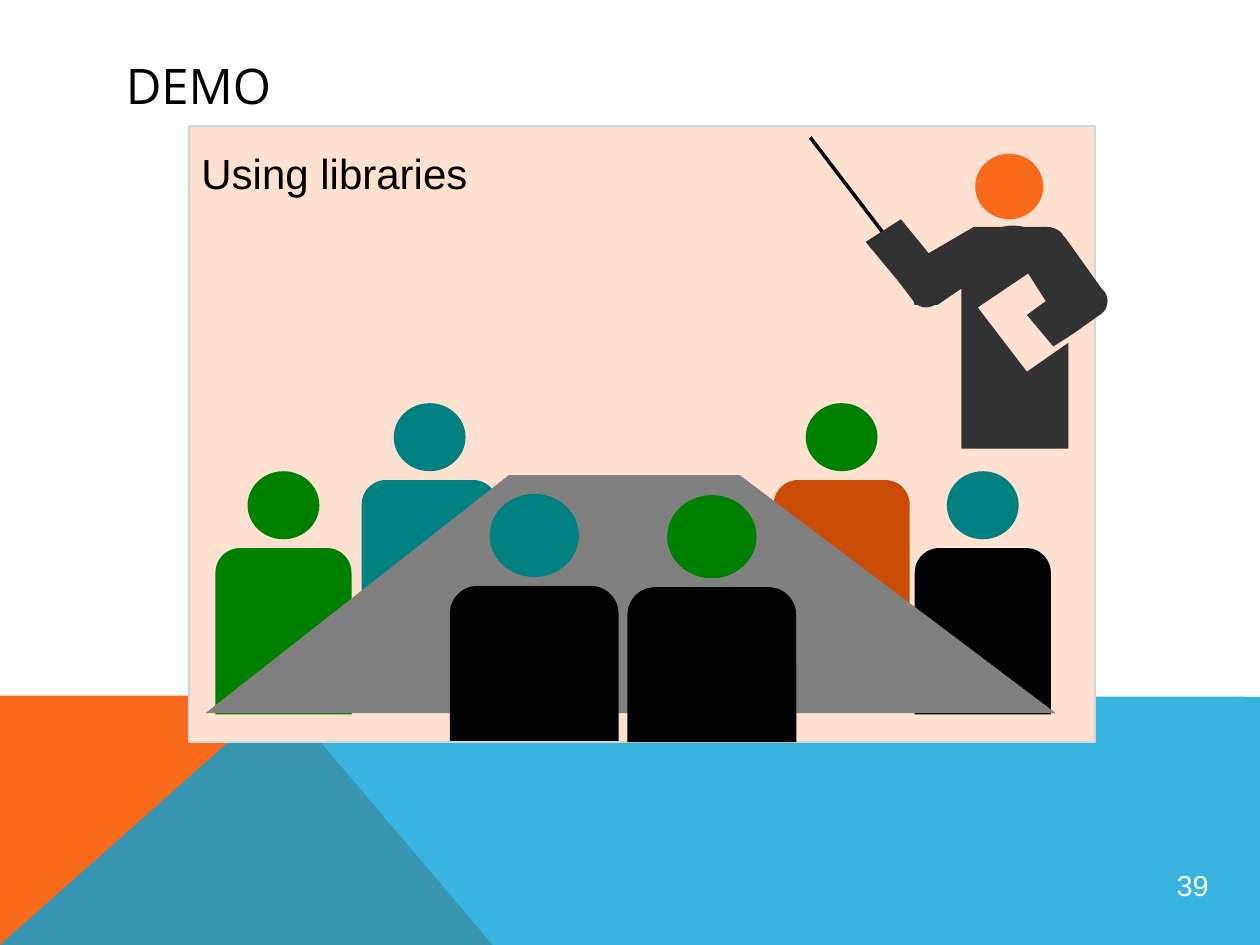
from lxml import etree
from pptx import Presentation
from pptx.dml.color import RGBColor
from pptx.enum.shapes import MSO_CONNECTOR, MSO_SHAPE as Preset
from pptx.enum.text import MSO_ANCHOR as Anchor, PP_ALIGN as Align
from pptx.oxml.ns import qn
from pptx.util import Inches, Pt

BLACK = RGBColor(0x00, 0x00, 0x00)
WHITE = RGBColor(0xFF, 0xFF, 0xFF)
ORANGE = RGBColor(0xF9, 0x6A, 0x1B)
BLUE = RGBColor(0x08, 0xA1, 0xD9)
PEACH = RGBColor(0xFE, 0xE1, 0xD1)
PALE = RGBColor(0xCD, 0xD7, 0xD9)
CHARCOAL = RGBColor(0x32, 0x32, 0x32)
RUST = RGBColor(0xCA, 0x4B, 0x05)
TEAL = RGBColor(0x00, 0x80, 0x80)
GREEN = RGBColor(0x00, 0x80, 0x00)
GRAY = RGBColor(0x80, 0x80, 0x80)

# Content: outlines in inches
ORANGE_BAND = [(0, 7.5), (0, 5.52), (2.23, 5.52), (3.91, 7.5)]
BLUE_BAND = [(0, 7.5), (2.23, 5.52), (10, 5.53), (10, 7.5)]
TABLE_TOP = [(1.63, 5.66), (4.04, 3.77), (5.87, 3.77), (8.38, 5.66)]
PRESENTER = [
    (8.19, 1.8), (8.3, 1.8), (8.45, 1.88), (8.75, 2.3), (8.74, 2.49),
    (8.53, 2.64), (8.36, 2.75), (8.15, 2.5), (8.23, 2.44), (8.3, 2.39),
    (8.16, 2.17), (7.76, 2.44), (8.15, 2.95), (8.48, 2.72), (8.48, 3.56),
    (7.63, 3.56), (7.63, 2.29), (7.44, 2.42), (7.26, 2.42), (7.25, 2.39),
    (7.12, 2.22), (6.87, 1.92), (7.15, 1.74), (7.33, 1.96), (7.37, 2.01),
    (7.73, 1.8),
]
# Round parts of the presenter: left, top, width, height, colour
PRESENTER_ROUNDS = [
    (7.74, 1.22, 0.54, 0.52, ORANGE),
    (7.24, 2.26, 0.22, 0.18, CHARCOAL),
    (8.57, 2.27, 0.22, 0.24, CHARCOAL),
    (7.89, 1.79, 0.3, 0.12, CHARCOAL),
    (8.15, 1.8, 0.3, 0.22, CHARCOAL),
]
# Seated people: body left, body top, head colour, body colour
BACK_PEOPLE = [
    (7.26, 4.35, TEAL, BLACK),
    (6.14, 3.81, GREEN, RUST),
    (2.87, 3.81, TEAL, TEAL),
    (1.71, 4.35, GREEN, GREEN),
]
FRONT_PEOPLE = [
    (4.98, 4.66, GREEN, BLACK),
    (3.57, 4.65, TEAL, BLACK),
]
# Sizes: body width, body height, head width, head height, neck gap
BACK_SIZE = (1.08, 1.32, 0.57, 0.54, 0.07)
FRONT_SIZE = (1.34, 1.23, 0.71, 0.66, 0.07)
SHOULDER = 0.18

deck = Presentation()
deck.slide_width, deck.slide_height = Inches(10), Inches(7.5)
page = deck.slides.add_slide(deck.slide_layouts[6])


def paint(shape, color):
    shape.shadow.inherit = False
    shape.fill.solid()
    shape.fill.fore_color.rgb = color
    shape.line.fill.background()
    return shape


def add_preset(preset, left, top, width, height, color):
    sides = [Inches(side) for side in (left, top, width, height)]
    return paint(page.shapes.add_shape(preset, *sides), color)


def add_outline(points, color):
    corners = [(Inches(x), Inches(y)) for x, y in points]
    builder = page.shapes.build_freeform(*corners[0])
    builder.add_line_segments(corners[1:], close=True)
    return paint(builder.convert_to_shape(), color)


def add_person(left, top, head_color, body_color, size):
    width, height, head_width, head_height, gap = size
    body = add_preset(Preset.ROUND_2_SAME_RECTANGLE, left, top, width, height, body_color)
    body.adjustments[0] = SHOULDER
    add_preset(Preset.OVAL, left + (width - head_width) / 2,
               top - gap - head_height, head_width, head_height, head_color)


def write(box, text, font, frame_format, para_format):
    frame = box.text_frame
    para = frame.paragraphs[0]
    span = para.add_run()
    span.text = text
    color = font.pop("color")
    for target, values in ((frame, frame_format), (para, para_format), (span.font, font)):
        for name, value in values.items():
            setattr(target, name, value)
    span.font.color.rgb = color


def add_text(left, top, width, height, *content):
    sides = [Inches(side) for side in (left, top, width, height)]
    write(page.shapes.add_textbox(*sides), *content)


# Background bands, the blue one translucent
add_outline(ORANGE_BAND, ORANGE)
blue_band = add_outline(BLUE_BAND, BLUE)
tint = blue_band.fill._xPr.find(qn("a:solidFill"))[0]
etree.SubElement(tint, qn("a:alpha")).set("val", "80000")

# Page number
badge = add_preset(Preset.OVAL, 9.19, 6.75, 0.55, 0.55, WHITE)
badge.fill.background()
tight = {f"margin_{side}": Inches(0.01) for side in ("left", "top", "right", "bottom")}
write(badge, "39", {"name": "Arial", "size": Pt(16.5), "color": WHITE},
      {"vertical_anchor": Anchor.MIDDLE, "word_wrap": False, **tight},
      {"alignment": Align.CENTER})

# Panel
panel = add_preset(Preset.RECTANGLE, 1.5, 1, 7.19, 4.89, PEACH)
panel.line.color.rgb = PALE
panel.line.width = Pt(1)

# Presenter with pointer
pointer = page.shapes.add_connector(
    MSO_CONNECTOR.STRAIGHT, Inches(7.11), Inches(1.98), Inches(6.43), Inches(1.09))
pointer.line.color.rgb = BLACK
pointer.line.width = Pt(2)
etree.SubElement(pointer._element.spPr, qn("a:effectLst"))
add_outline(PRESENTER, CHARCOAL)
for round_part in PRESENTER_ROUNDS:
    add_preset(Preset.OVAL, *round_part)

# Audience around the table
for person in BACK_PEOPLE:
    add_person(*person, BACK_SIZE)
add_outline(TABLE_TOP, GRAY)
for person in FRONT_PEOPLE:
    add_person(*person, FRONT_SIZE)

# Subtitle and title
add_text(1.5, 1.07, 5.27, 0.5, "Using libraries",
         {"name": "Arial", "size": Pt(24), "color": BLACK},
         {"word_wrap": True, "margin_top": Inches(0.1)}, {})
add_text(0.9, 0.4, 8.23, 0.6, "DEMO",
         {"name": "Open Sans", "size": Pt(28), "color": BLACK},
         {"word_wrap": True, "vertical_anchor": Anchor.MIDDLE}, {"line_spacing": 0.9})

deck.save("out.pptx")
